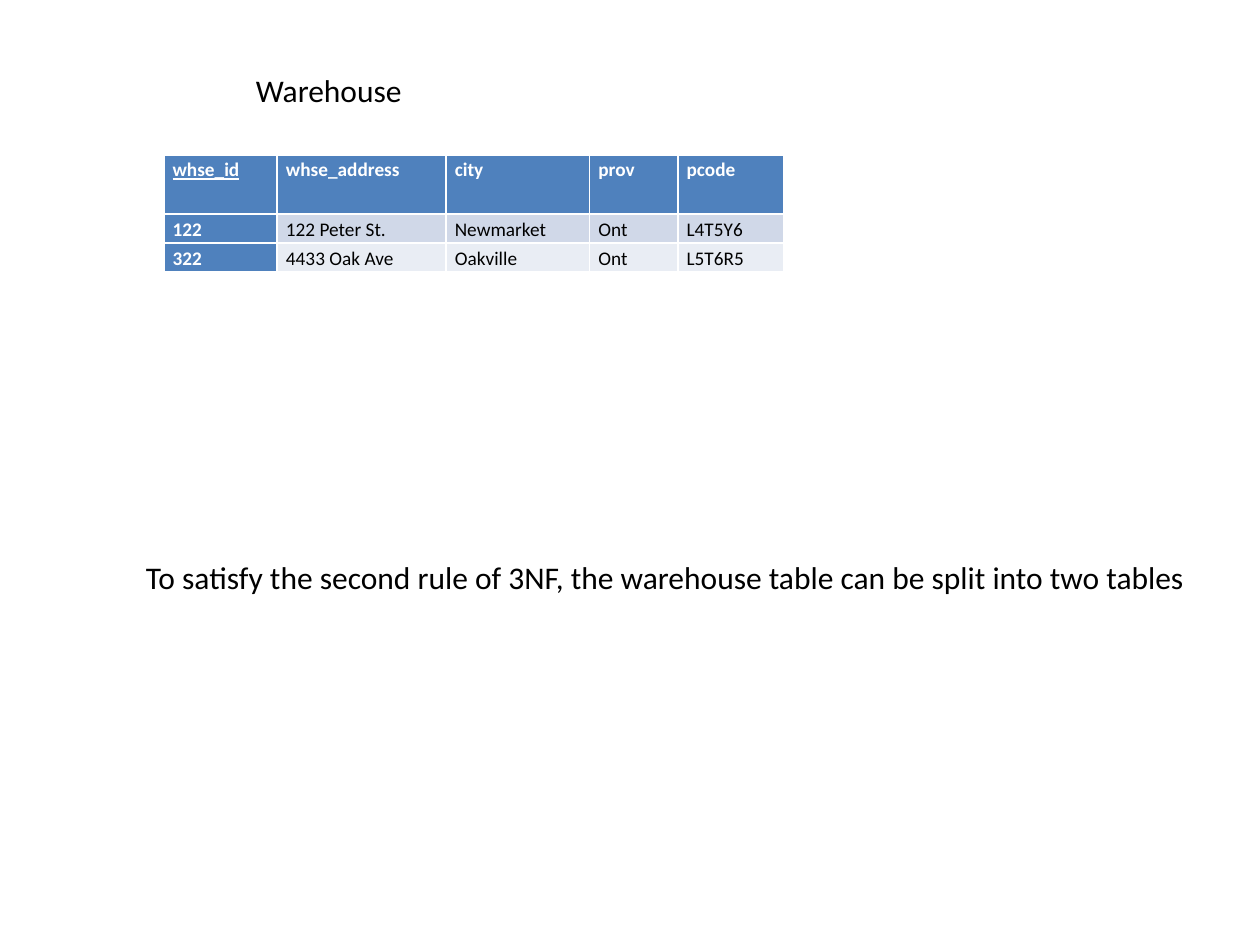
from pptx import Presentation
from pptx.dml.color import RGBColor
from pptx.enum.text import MSO_ANCHOR, MSO_AUTO_SIZE, PP_ALIGN
from pptx.util import Inches, Pt

FONT = "Calibri"
BLACK = RGBColor(0x00, 0x00, 0x00)
WHITE = RGBColor(0xFF, 0xFF, 0xFF)
HEADER_BLUE = RGBColor(0x4F, 0x81, 0xBD)
ROW_BANDS = (RGBColor(0xD0, 0xD8, 0xE8), RGBColor(0xE9, 0xED, 0xF4))

WAREHOUSES = (
    ("whse_id", "whse_address", "city", "prov", "pcode"),
    ("122", "122 Peter St.", "Newmarket", "Ont", "L4T5Y6"),
    ("322", "4433 Oak Ave", "Oakville", "Ont", "L5T6R5"),
)
COLUMN_WIDTHS = (0.9, 1.34, 1.14, 0.7, 0.84)
ROW_HEIGHTS = (0.47, 0.23, 0.23)

LINE_FORMAT = {
    "word_wrap": False,
    "auto_size": MSO_AUTO_SIZE.SHAPE_TO_FIT_TEXT,
    "vertical_anchor": MSO_ANCHOR.TOP,
    "margin_left": Inches(0.1),
    "margin_right": Inches(0.1),
    "margin_top": Inches(0.05),
    "margin_bottom": Inches(0.05),
}
CELL_FORMAT = {
    "vertical_anchor": MSO_ANCHOR.TOP,
    "margin_left": Inches(0.07),
    "margin_right": Inches(0.07),
    "margin_top": 0,
    "margin_bottom": 0,
}


def apply_format(target, values):
    for attribute, value in values.items():
        setattr(target, attribute, value)


def write(frame, text, size, colour, **font_format):
    """Put one left-aligned run into the frame and return its paragraph."""
    paragraph = frame.paragraphs[0]
    paragraph.alignment = PP_ALIGN.LEFT
    run = paragraph.add_run()
    run.text = text
    apply_format(run.font, {"name": FONT, "size": Pt(size), **font_format})
    run.font.color.rgb = colour
    return paragraph


def format_line(line, box, text):
    """Place a text holder in the box as a single unwrapped line."""
    for attribute, length in zip(("left", "top", "width", "height"), box):
        setattr(line, attribute, Inches(length))
    apply_format(line.text_frame, LINE_FORMAT)
    write(line.text_frame, text, 18, BLACK)


def add_warehouse_table(slide, left, top):
    table = slide.shapes.add_table(
        len(WAREHOUSES), len(COLUMN_WIDTHS), Inches(left), Inches(top),
        Inches(sum(COLUMN_WIDTHS)), Inches(sum(ROW_HEIGHTS)),
    ).table
    table.first_col = True
    for column, width in zip(table.columns, COLUMN_WIDTHS):
        column.width = Inches(width)
    for row, height in zip(table.rows, ROW_HEIGHTS):
        row.height = Inches(height)

    for r, record in enumerate(WAREHOUSES):
        for c, value in enumerate(record):
            cell = table.cell(r, c)
            heading = r == 0 or c == 0
            apply_format(cell, CELL_FORMAT)
            cell.fill.solid()
            cell.fill.fore_color.rgb = HEADER_BLUE if heading else ROW_BANDS[r - 1]
            paragraph = write(
                cell.text_frame, value, 11, WHITE if heading else BLACK,
                bold=heading, underline=r == c == 0,
            )
            paragraph.line_spacing = 1.15


def main():
    deck = Presentation()
    deck.slide_width, deck.slide_height = Inches(10), Inches(7.5)
    title_only = deck.slide_layouts.get_by_name("Title Only")
    slide = deck.slides.add_slide(title_only)

    format_line(slide.shapes.title, (1.93, 0.51, 1.37, 0.4), "Warehouse")
    add_warehouse_table(slide, 1.3, 1.23)
    format_line(
        slide.shapes.add_textbox(0, 0, 0, 0), (1.06, 4.38, 8.55, 0.4),
        "To satisfy the second rule of 3NF, the warehouse table can be split into two tables",
    )
    deck.save("out.pptx")


if __name__ == "__main__":
    main()
